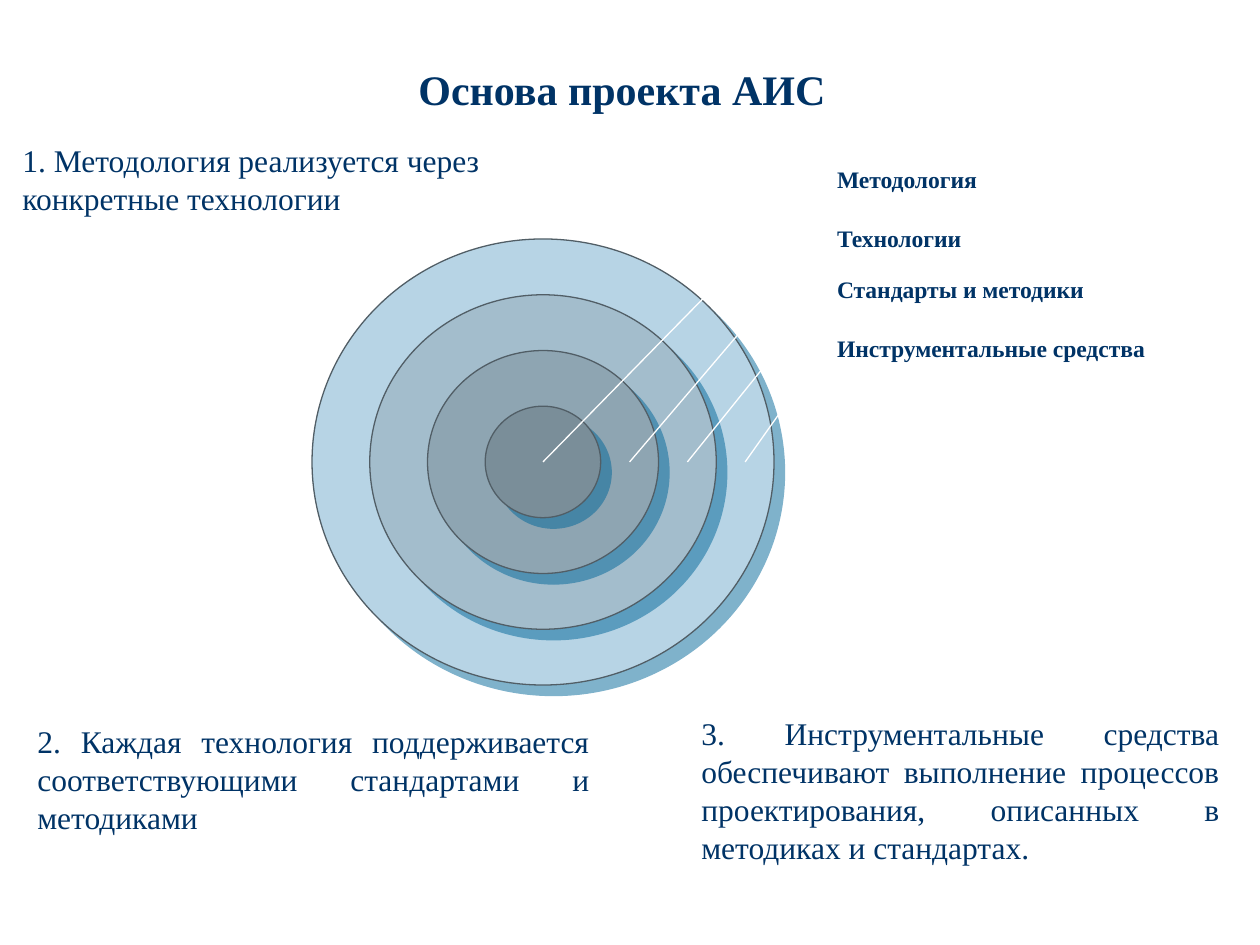
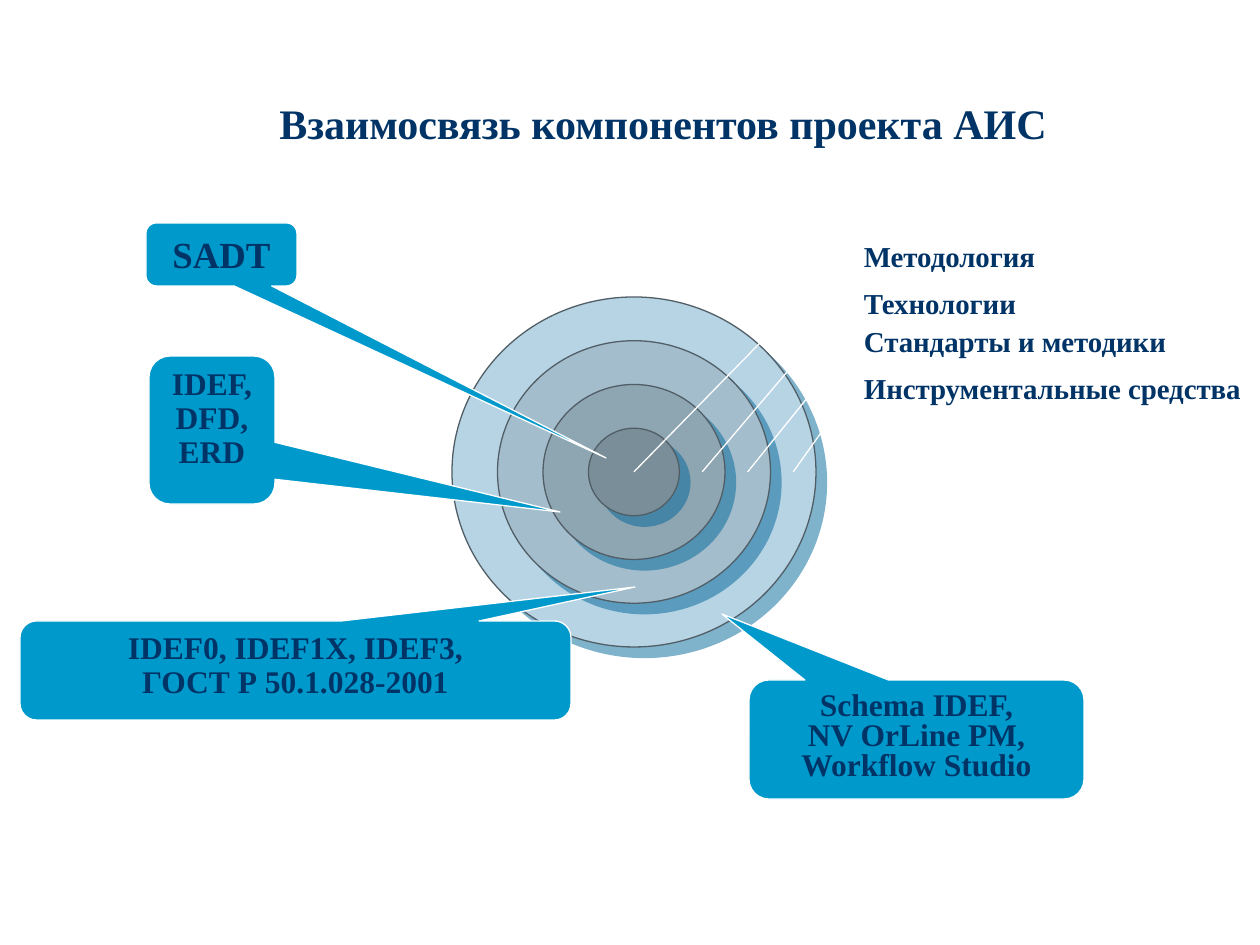
from dataclasses import dataclass

from lxml.etree import SubElement
from pptx import Presentation
from pptx.dml.color import RGBColor
from pptx.enum.shapes import MSO_SHAPE
from pptx.enum.text import MSO_ANCHOR, MSO_AUTO_SIZE, PP_ALIGN
from pptx.oxml.ns import qn
from pptx.shapes.autoshape import Shape
from pptx.slide import Slide
from pptx.util import Emu, Pt

EMU_PER_PX = 914400 / 126


def px(length: float) -> Emu:
    return Emu(round(length * EMU_PER_PX))


# Shared look
@dataclass(frozen=True)
class Theme:
    font: str = "Times New Roman"
    ink: str = "003366"
    outline: str = "515E66"
    white: str = "FFFFFF"
    callout: str = "0099CC"
    shadow: str = "006699"
    rings: tuple[str, ...] = ("B7D4E5", "A3BDCC", "8EA5B2", "7A8E99")
    title_size: float = 24
    text_size: float = 18
    line_width: float = 0.75
    shadow_distance: float = 8.5


THEME = Theme()


@dataclass(frozen=True)
class Box:
    left: int
    top: int
    width: int
    height: int

    @property
    def center_x(self) -> float:
        return self.left + self.width / 2

    @property
    def center_y(self) -> float:
        return self.top + self.height / 2

    def emu(self) -> tuple[Emu, Emu, Emu, Emu]:
        return px(self.left), px(self.top), px(self.width), px(self.height)


@dataclass(frozen=True)
class Target:
    outer: Box
    first_label: Box
    label_size: float


@dataclass(frozen=True)
class Note:
    box: Box
    text: str
    align: PP_ALIGN


@dataclass(frozen=True)
class Callout:
    box: Box
    tip: tuple[int, int]
    text: str
    size: float = THEME.text_size
    spacing: float = 0.9


# Content, with ring names from the outermost inwards
RING_NAMES = ("Инструментальные средства", "Стандарты и методики",
              "Технологии", "Методология")
LABEL_SPACING = (0.7, 0.7, 1.0, 1.0)

BASIS_TARGET = Target(Box(312, 239, 462, 446), Box(837, 165, 92, 59), 13.5)
LINKS_TARGET = Target(Box(452, 297, 364, 350), Box(864, 239, 73, 47), 16.5)

NOTES = (
    Note(Box(10, 135, 556, 89),
         "1. Методология реализуется через конкретные технологии", PP_ALIGN.LEFT),
    Note(Box(689, 708, 543, 165),
         "3. Инструментальные средства обеспечивают выполнение процессов "
         "проектирования, описанных в методиках и стандартах.", PP_ALIGN.JUSTIFY),
    Note(Box(25, 716, 577, 127),
         "2. Каждая технология поддерживается соответствующими стандартами "
         "и методиками", PP_ALIGN.JUSTIFY),
)

CALLOUTS = (
    Callout(Box(146, 223, 151, 63), (606, 458), "SADT", size=21, spacing=1.0),
    Callout(Box(149, 356, 126, 148), (560, 512), "IDEF, DFD,\nERD"),
    Callout(Box(20, 621, 551, 99), (635, 587),
            "IDEF0, IDEF1X, IDEF3,\nГОСТ Р 50.1.028-2001"),
    Callout(Box(749, 680, 335, 119), (722, 614),
            "Schema IDEF,\nNV OrLine PM,\nWorkflow Studio", spacing=0.8),
)


# Drawing helpers
def write(shape: Shape, text: str, size: float, align: PP_ALIGN = PP_ALIGN.LEFT,
          bold: bool = True, spacing: float = 1.0) -> None:
    frame = shape.text_frame
    frame.text = text
    frame.vertical_anchor = MSO_ANCHOR.TOP
    frame.word_wrap = True
    for para in frame.paragraphs:
        para.alignment = align
        para.line_spacing = spacing
        for span in para.runs:
            span.font.name = THEME.font
            span.font.size = Pt(size)
            span.font.bold = bold
            span.font.color.rgb = RGBColor.from_string(THEME.ink)


def paint(shape: Shape, fill: str | None, line: str) -> None:
    shape.shadow.inherit = False
    if fill:
        shape.fill.solid()
        shape.fill.fore_color.rgb = RGBColor.from_string(fill)
    else:
        shape.fill.background()
    shape.line.color.rgb = RGBColor.from_string(line)
    shape.line.width = Pt(THEME.line_width)


def cast_shadow(shape: Shape) -> None:
    effects = shape.element.spPr.find(qn("a:effectLst"))
    shadow = SubElement(effects, qn("a:outerShdw"), blurRad="0",
                        dist=str(Pt(THEME.shadow_distance)), dir="2700000",
                        algn="ctr", rotWithShape="0")
    color = SubElement(shadow, qn("a:srgbClr"), val=THEME.shadow)
    SubElement(color, qn("a:alpha"), val="50000")


def add_text(page: Slide, box: Box) -> Shape:
    shape = page.shapes.add_textbox(*box.emu())
    shape.text_frame.auto_size = MSO_AUTO_SIZE.SHAPE_TO_FIT_TEXT
    return shape


def add_title(page: Slide, box: Box, text: str) -> None:
    title = add_text(page, box)
    write(title, text, THEME.title_size, PP_ALIGN.CENTER, spacing=0.9)
    title.text_frame.vertical_anchor = MSO_ANCHOR.MIDDLE
    properties = title.text_frame.paragraphs[0]._p.get_or_add_pPr()
    properties.set("marL", "0")
    properties.set("indent", str(px(63)))


def add_note(page: Slide, note: Note) -> None:
    shape = add_text(page, note.box)
    write(shape, note.text, THEME.text_size, note.align, bold=False)
    shape.text_frame.paragraphs[0].space_before = Pt(THEME.text_size * 0.2)


def add_target(page: Slide, target: Target) -> None:
    """Concentric discs, each with a label whose leader ends inside its ring."""
    group = page.shapes.add_group_shape()
    outer, first = target.outer, target.first_label
    count = len(RING_NAMES)
    for index, name in enumerate(RING_NAMES):
        # Disc
        share = 1 - index / count
        width, height = outer.width * share, outer.height * share
        disc = group.shapes.add_shape(
            MSO_SHAPE.OVAL, px(outer.center_x - width / 2),
            px(outer.center_y - height / 2), px(width), px(height))
        paint(disc, THEME.rings[index], THEME.outline)
        cast_shadow(disc)

        # Label and leader
        row = count - 1 - index
        box = Box(first.left, first.top + row * first.height,
                  first.width, first.height)
        label = group.shapes.add_shape(MSO_SHAPE.LINE_CALLOUT_2_NO_BORDER, *box.emu())
        paint(label, None, THEME.white)
        reach = share - 0.5 / count if row else 0
        end_x = outer.center_x + reach * outer.width / 2
        leader = (0.25, -0.11, 0.25, -0.19,
                  (outer.center_y - box.top) / box.height,
                  (end_x - box.left) / box.width)
        for position, value in enumerate(leader):
            label.adjustments[position] = value
        write(label, name, target.label_size, spacing=LABEL_SPACING[index])
        frame = label.text_frame
        frame.word_wrap = False
        frame.margin_left = frame.margin_right = 0
        frame.margin_top = frame.margin_bottom = 0


def add_callout(page: Slide, callout: Callout) -> None:
    box = callout.box
    shape = page.shapes.add_shape(MSO_SHAPE.ROUNDED_RECTANGULAR_CALLOUT, *box.emu())
    paint(shape, THEME.callout, THEME.white)
    tip_x, tip_y = callout.tip
    shape.adjustments[0] = (tip_x - box.center_x) / box.width
    shape.adjustments[1] = (tip_y - box.center_y) / box.height
    write(shape, callout.text, callout.size, PP_ALIGN.CENTER, spacing=callout.spacing)


# Slides
def build_basis(page: Slide) -> None:
    add_target(page, BASIS_TARGET)
    for note in NOTES:
        add_note(page, note)
    add_title(page, Box(312, 63, 557, 58), "Основа проекта АИС")


def build_links(page: Slide) -> None:
    add_target(page, LINKS_TARGET)
    for callout in CALLOUTS:
        add_callout(page, callout)
    add_title(page, Box(118, 97, 1027, 58), "Взаимосвязь компонентов проекта АИС")


def main() -> None:
    deck = Presentation()
    deck.slide_width, deck.slide_height = px(1260), px(945)
    for build in (build_basis, build_links):
        build(deck.slides.add_slide(deck.slide_layouts[6]))
    deck.save("out.pptx")


if __name__ == "__main__":
    main()
